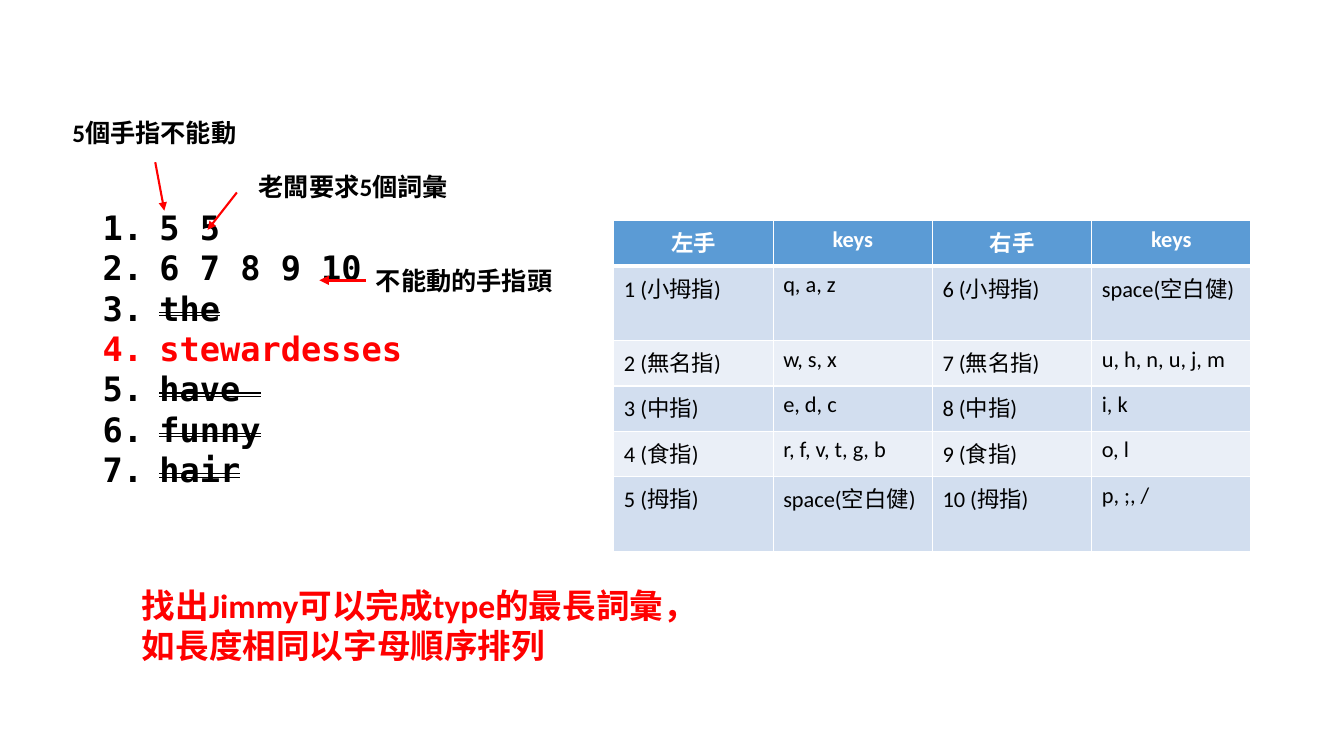
from lxml import etree
from pptx import Presentation
from pptx.dml.color import RGBColor
from pptx.enum import shapes, text
from pptx.oxml.ns import qn
from pptx.util import Pt

BLACK = RGBColor(0, 0, 0)
WHITE = RGBColor(255, 255, 255)
RED = RGBColor(255, 0, 0)
HEADER_BLUE = RGBColor(0x5B, 0x9B, 0xD5)
BANDS = (RGBColor(0xEA, 0xEF, 0xF7), RGBColor(0xD2, 0xDE, 0xEF))
SANS, MONO = "Calibri", "DejaVu Sans Mono"

# Words on each input line, colour, struck out
INPUT_LINES = [
    ("5 5", BLACK, False),
    ("6 7 8 9 10", BLACK, False),
    ("the", BLACK, True),
    ("stewardesses", RED, False),
    ("have ", BLACK, True),
    ("funny", BLACK, True),
    ("hair", BLACK, True),
]
FINGER_KEYS = [
    ("左手", "keys", "右手", "keys"),
    ("1 (小拇指)", "q, a, z", "6 (小拇指)", "space(空白健)"),
    ("2 (無名指)", "w, s, x", "7 (無名指)", "u, h, n, u, j, m"),
    ("3 (中指)", "e, d, c", "8 (中指)", "i, k"),
    ("4 (食指)", "r, f, v, t, g, b", "9 (食指)", "o, l"),
    ("5 (拇指)", "space(空白健)", "10 (拇指)", "p, ;, /"),
]
# Label, its box, arrow start and end, arrow width, whether the arrow leaves the box's left side
CALLOUTS = [
    ("不能動的手指頭", (261.4, 185.8, 141.8, 28.8), (261.4, 200.2), (228.2, 200.2), 2.25, True),
    ("5個手指不能動", (44.6, 80.6, 132.5, 28.8), (110.9, 115.9), (117.4, 150.5), 1.5, False),
    ("老闆要求5個詞彙", (177.8, 118.8, 151.2, 28.8), (169.2, 137.5), (148.3, 164.2), 1.5, False),
]
TASK = ["找出Jimmy可以完成type的最長詞彙，", "如長度相同以字母順序排列"]
INPUT_BOX = (66.2, 144, 408.2, 342.7)
TASK_BOX = (94.3, 414, 414.7, 65.5)
TABLE_LEFT, TABLE_TOP, COLUMN_WIDTH, ROW_HEIGHT = 438.5, 157.7, 113.8, 32.4
NUMBER_INDENT = 40.5


def points(values):
    return [Pt(value) for value in values]


def format_runs(paragraph, size, color, bold=True, font=SANS):
    for run in paragraph.runs:
        run.font.name, run.font.size, run.font.bold = font, Pt(size), bold
        run.font.color.rgb = color


def add_label(slide, lines, box, size, color):
    label = slide.shapes.add_textbox(*points(box))
    frame = label.text_frame
    frame.word_wrap = True
    frame.text = "\n".join(lines)
    for paragraph in frame.paragraphs:
        format_runs(paragraph, size, color)
    return label


def add_arrow(slide, start, end, width):
    arrow = slide.shapes.add_connector(shapes.MSO_CONNECTOR.STRAIGHT, *points(start + end))
    arrow.line.color.rgb = RED
    arrow.line.width = Pt(width)
    etree.SubElement(arrow.line._get_or_add_ln(), qn("a:tailEnd"), type="triangle")
    etree.SubElement(arrow._element.spPr, qn("a:effectLst"))
    return arrow


def fill_input(body):
    body.left, body.top, body.width, body.height = points(INPUT_BOX)
    frame = body.text_frame
    frame.auto_size = text.MSO_AUTO_SIZE.NONE
    frame.text = "\n".join(words for words, _, _ in INPUT_LINES)
    for paragraph, (_, color, struck) in zip(frame.paragraphs, INPUT_LINES):
        paragraph.space_before = Pt(0)
        paragraph.line_spacing = Pt(28.85)
        format_runs(paragraph, 24, color, font=MONO)
        if struck:
            paragraph.runs[0].font._element.set("strike", "dblStrike")
        properties = paragraph._p.get_or_add_pPr()
        properties.set("marL", str(Pt(NUMBER_INDENT)))
        properties.set("indent", str(Pt(-NUMBER_INDENT)))
        etree.SubElement(properties, qn("a:buFont"), typeface=MONO)
        etree.SubElement(properties, qn("a:buAutoNum"), type="arabicPeriod")


def add_borders(cell, bottom_width):
    properties = cell._tc.get_or_add_tcPr()
    for side, width in (("L", 1), ("R", 1), ("T", 1), ("B", bottom_width)):
        border = etree.SubElement(properties, qn("a:ln" + side), w=str(Pt(width)))
        fill = etree.SubElement(border, qn("a:solidFill"))
        etree.SubElement(fill, qn("a:srgbClr"), val=str(WHITE))


def add_key_table(slide):
    rows, columns = len(FINGER_KEYS), len(FINGER_KEYS[0])
    area = (TABLE_LEFT, TABLE_TOP, columns * COLUMN_WIDTH, rows * ROW_HEIGHT)
    table = slide.shapes.add_table(rows, columns, *points(area)).table
    for r, entries in enumerate(FINGER_KEYS):
        header = r == 0
        for c, entry in enumerate(entries):
            cell = table.cell(r, c)
            cell.text = entry
            paragraph = cell.text_frame.paragraphs[0]
            paragraph.alignment = text.PP_ALIGN.CENTER if header else text.PP_ALIGN.LEFT
            format_runs(paragraph, 16, WHITE if header else BLACK, bold=header)
            add_borders(cell, 3 if header else 1)
            cell.fill.solid()
            cell.fill.fore_color.rgb = HEADER_BLUE if header else BANDS[r % 2]


def main():
    deck = Presentation()
    deck.slide_width, deck.slide_height = Pt(960), Pt(540)
    slide = deck.slides.add_slide(deck.slide_layouts[1])
    title = slide.shapes.title._element
    title.getparent().remove(title)

    fill_input(slide.placeholders[1])
    add_key_table(slide)
    for words, box, start, end, width, joined in CALLOUTS:
        label = add_label(slide, [words], box, 18, BLACK)
        arrow = add_arrow(slide, start, end, width)
        if joined:
            arrow.begin_connect(label, 1)
    add_label(slide, TASK, TASK_BOX, 24, RED)
    deck.save("out.pptx")


if __name__ == "__main__":
    main()
